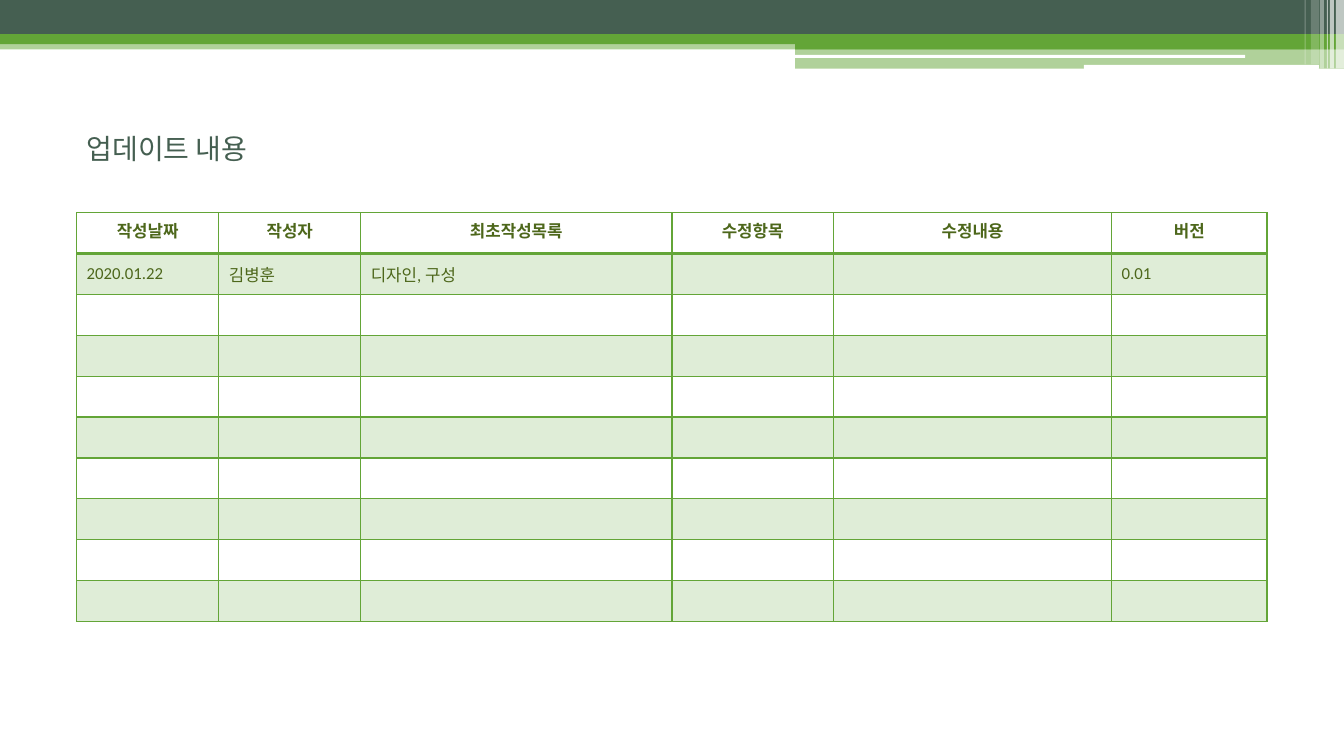
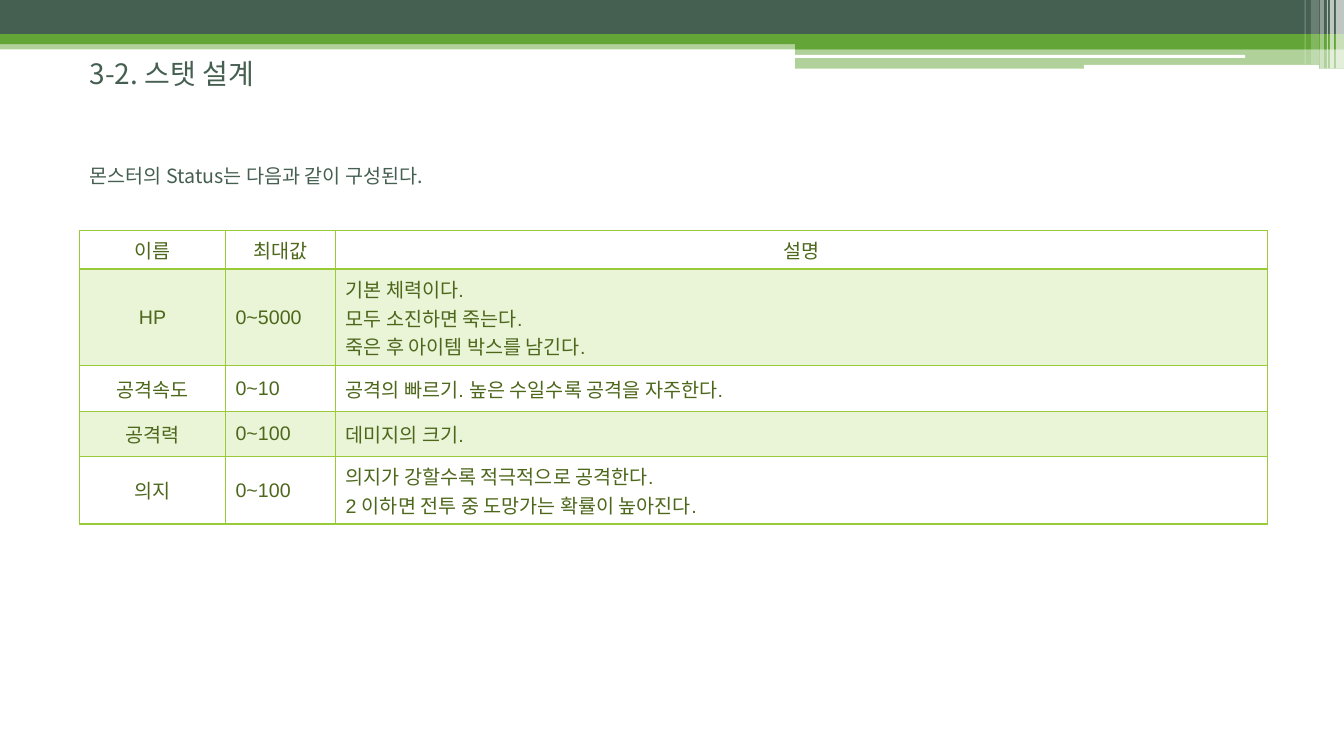
from dataclasses import dataclass

from lxml.etree import SubElement
from pptx import Presentation
from pptx.dml.color import RGBColor
from pptx.enum.shapes import MSO_SHAPE
from pptx.enum.text import MSO_ANCHOR, PP_ALIGN
from pptx.oxml import parse_xml
from pptx.oxml.ns import nsdecls, qn
from pptx.util import Inches, Pt

WIDTH, HEIGHT = Inches(13.33), Inches(7.5)
COLORS = {
    "dark": "455F51",
    "green": "63A537",
    "lime": "99CB38",
    "olive": "4D671B",
    "white": "FFFFFF",
}
KOREAN = "Noto Sans CJK KR"


@dataclass(frozen=True)
class Box:
    """Position and size in percent of the slide's width and height."""
    left: float
    top: float
    width: float
    height: float

    def emu(self) -> tuple:
        return (across(self.left), down(self.top),
                across(self.width), down(self.height))


@dataclass(frozen=True)
class Band:
    box: Box
    color: str
    opacity: int = 100
    rounded: bool = False


@dataclass(frozen=True)
class TextStyle:
    font: str
    size: int
    color: str


@dataclass(frozen=True)
class TableSpec:
    """Column widths and row heights in percent of the slide's size."""
    left: float
    top: float
    columns: tuple
    rows: tuple
    color: str
    style: TextStyle
    texts: tuple
    centered_columns: tuple = ()
    bold_header: bool = False
    header_anchor: MSO_ANCHOR = MSO_ANCHOR.MIDDLE


TITLE = TextStyle(KOREAN, 20, "dark")
BODY = TextStyle(KOREAN, 14, "dark")

BANDS = (
    Band(Box(0, 5.33, 100, 1.2), "green", 50),
    Band(Box(0, 0, 100, 4.53), "dark"),
    Band(Box(0, 4.53, 100, 1.33), "green"),
    Band(Box(59.17, 5.2, 40.83, 1.33), "green"),
    Band(Box(59.17, 6.4, 40.83, 2.67), "green", 50),
    Band(Box(59.11, 7.27, 33.53, 0.4), "white", rounded=True),
    Band(Box(80.65, 8.58, 17.48, 0.53), "white", rounded=True),
    Band(Box(99.4, 0, 0.6, 9.07), "white", 65),
    Band(Box(98.95, 0, 0.3, 9.07), "white", 65),
    Band(Box(98.72, 0, 0.08, 9.07), "white", 60),
    Band(Box(98.2, 0, 0.3, 9.07), "white", 40),
    Band(Box(97.53, 0, 0.6, 8.53), "white", 20),
    Band(Box(97.07, 0, 0.08, 8.53), "white", 30),
)

UPDATES = TableSpec(
    left=5.7, top=28.13,
    columns=(10.58, 10.56, 23.16, 12.02, 20.7, 11.56),
    rows=(5.41,) * 10,
    color="green",
    style=TextStyle("Calibri", 12, "olive"),
    texts=(
        ("작성날짜", "작성자", "최초작성목록", "수정항목", "수정내용", "버전"),
        ("2020.01.22", "김병훈", "디자인, 구성", "", "", "0.01"),
    ),
    bold_header=True,
    header_anchor=MSO_ANCHOR.TOP,
)

STATS = TableSpec(
    left=5.93, top=30.53,
    columns=(10.85, 8.18, 69.37),
    rows=(5.07, 12.8, 6, 6, 8.93),
    color="lime",
    style=TextStyle("Arial", 14, "olive"),
    texts=(
        ("이름", "최대값", "설명"),
        ("HP", "0~5000",
         "기본 체력이다.\n모두 소진하면 죽는다.\n죽은 후 아이템 박스를 남긴다."),
        ("공격속도", "0~10", "공격의 빠르기. 높은 수일수록 공격을 자주한다."),
        ("공격력", "0~100", "데미지의 크기."),
        ("의지", "0~100",
         "의지가 강할수록 적극적으로 공격한다.\n"
         "2 이하면 전투 중 도망가는 확률이 높아진다."),
    ),
    centered_columns=(0,),
)


def across(percent: float) -> int:
    return round(WIDTH * percent / 100)


def down(percent: float) -> int:
    return round(HEIGHT * percent / 100)


def paint(fill, element, color: str, opacity: int = 100) -> None:
    """Fill solidly; element is the XML parent of the fill."""
    fill.solid()
    fill.fore_color.rgb = RGBColor.from_string(COLORS[color])
    if opacity < 100:
        clr = element.find(qn("a:solidFill")).find(qn("a:srgbClr"))
        SubElement(clr, qn("a:alpha"), val=str(opacity * 1000))


def write(tf, text: str, style: TextStyle, bold: bool = False,
          align: PP_ALIGN = PP_ALIGN.LEFT) -> None:
    tf.text = text
    for p in tf.paragraphs:
        p.alignment = align
        p.font.name = style.font
        p.font.size = Pt(style.size)
        p.font.bold = bold
        p.font.color.rgb = RGBColor.from_string(COLORS[style.color])


def add_bands(slide) -> None:
    for band in BANDS:
        kind = MSO_SHAPE.ROUNDED_RECTANGLE if band.rounded else MSO_SHAPE.RECTANGLE
        sp = slide.shapes.add_shape(kind, *band.box.emu())
        sp.shadow.inherit = False
        sp.line.fill.background()
        paint(sp.fill, sp._element.spPr, band.color, band.opacity)


def add_text(slide, text: str, box: Box, style: TextStyle,
             anchor: MSO_ANCHOR = MSO_ANCHOR.TOP) -> None:
    tf = slide.shapes.add_textbox(*box.emu()).text_frame
    tf.word_wrap = True
    tf.vertical_anchor = anchor
    write(tf, text, style)


def set_borders(cell, color: str, top: int, bottom: int) -> None:
    """Draw all four sides; top and bottom are widths in points."""
    tc_pr = cell._tc.get_or_add_tcPr()
    sides = (("lnL", 1), ("lnR", 1), ("lnT", top), ("lnB", bottom))
    for i, (side, width) in enumerate(sides):
        tc_pr.insert(i, parse_xml(
            f'<a:{side} {nsdecls("a")} w="{Pt(width)}"><a:solidFill>'
            f'<a:srgbClr val="{COLORS[color]}"/></a:solidFill></a:{side}>'))


def add_table(slide, spec: TableSpec) -> None:
    box = Box(spec.left, spec.top, sum(spec.columns), sum(spec.rows))
    table = slide.shapes.add_table(
        len(spec.rows), len(spec.columns), *box.emu()).table
    for column, width in zip(table.columns, spec.columns):
        column.width = across(width)
    for r, height in enumerate(spec.rows):
        table.rows[r].height = down(height)
        header = r == 0
        for c in range(len(spec.columns)):
            cell = table.cell(r, c)
            text = spec.texts[r][c] if r < len(spec.texts) else ""
            centered = header or c in spec.centered_columns
            write(cell.text_frame, text, spec.style, header and spec.bold_header,
                  PP_ALIGN.CENTER if centered else PP_ALIGN.LEFT)
            cell.vertical_anchor = spec.header_anchor if header else MSO_ANCHOR.MIDDLE
            set_borders(cell, spec.color, 2 if r == 1 else 1, 2 if header else 1)
            if r % 2:
                paint(cell.fill, cell._tc.tcPr, spec.color, 20)
            else:
                cell.fill.background()


def add_slide(prs, title: str, title_box: Box, spec: TableSpec):
    slide = prs.slides.add_slide(prs.slide_layouts[6])
    add_bands(slide)
    add_text(slide, title, title_box, TITLE, MSO_ANCHOR.MIDDLE)
    add_table(slide, spec)
    return slide


def main() -> None:
    prs = Presentation()
    prs.slide_width, prs.slide_height = WIDTH, HEIGHT
    add_slide(prs, "업데이트 내용", Box(5.7, 16.67, 88.6, 5.87), UPDATES)
    stats = add_slide(prs, "3-2. 스탯 설계", Box(5.93, 6.8, 88.6, 5.87), STATS)
    add_text(stats, "몬스터의 Status는 다음과 같이 구성된다.",
             Box(5.93, 21.07, 88.45, 7.07), BODY)
    prs.save("out.pptx")


if __name__ == "__main__":
    main()
